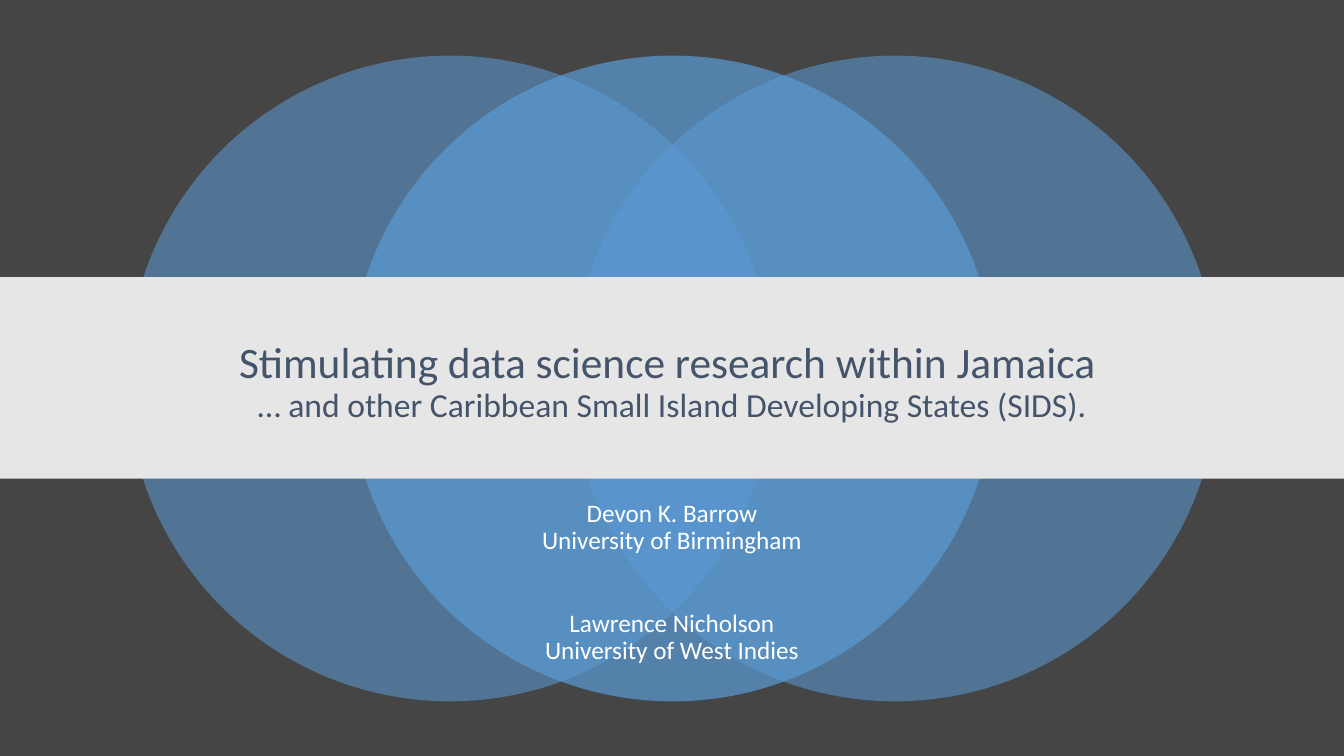
from lxml import etree
from pptx import Presentation, util as u
from pptx.dml.color import RGBColor
from pptx.enum import shapes, text
from pptx.oxml.ns import qn

PX = 9525
HUES = {"back": "454545", "disc": "5B9BD5", "band": "E7E6E6",
        "title": "44546A", "names": "FFFFFF"}


def add_form(kind, box, hue, alpha=100):
    form = slide.shapes.add_shape(kind, *[n * PX for n in box])
    form.shadow.inherit = False
    form.fill.solid()
    form.fill.fore_color.rgb = RGBColor.from_string(HUES[hue])
    form.line.fill.background()
    if alpha < 100:
        color = form.fill._xPr.find(".//" + qn("a:srgbClr"))
        etree.SubElement(color, qn("a:alpha"), val=str(alpha * 1000))


def add_text(box, hue, paras, anchor):
    frame = slide.shapes.add_textbox(*[n * PX for n in box]).text_frame
    frame.word_wrap = True
    frame.vertical_anchor = anchor
    for i, (gap, lines) in enumerate(paras):
        para = frame.add_paragraph() if i else frame.paragraphs[0]
        para.alignment = text.PP_ALIGN.CENTER
        para.line_spacing = 0.9
        para.space_before = u.Pt(gap)
        for j, (words, size) in enumerate(lines):
            if j:
                para.add_line_break()
            run = para.add_run()
            run.text = words
            run.font.name = "Calibri"
            run.font.size = u.Pt(size)
            run.font.color.rgb = RGBColor.from_string(HUES[hue])


deck = Presentation()
deck.slide_width, deck.slide_height = 1280 * PX, 720 * PX
slide = deck.slides.add_slide(deck.slide_layouts[6])
slide.background.fill.solid()
slide.background.fill.fore_color.rgb = RGBColor.from_string(HUES["back"])

for step, alpha in ((0, 55), (2, 55), (1, 70)):
    add_form(shapes.MSO_SHAPE.OVAL, (121 + 212 * step, 53, 615, 615), "disc", alpha)

add_text((160, 472, 960, 179), "names", [
    (0, [("Devon K. Barrow", 18), ("University of Birmingham", 18)]),
    (40, [("Lawrence Nicholson", 18), ("University of West Indies", 18)]),
], text.MSO_ANCHOR.TOP)

add_form(shapes.MSO_SHAPE.RECTANGLE, (0, 264, 1280, 192), "band")

add_text((160, 292, 960, 145), "title", [
    (0, [("Stimulating data science research within Jamaica ", 31),
         ("… and other Caribbean Small Island Developing States (SIDS).", 24)]),
], text.MSO_ANCHOR.MIDDLE)

deck.save("out.pptx")
